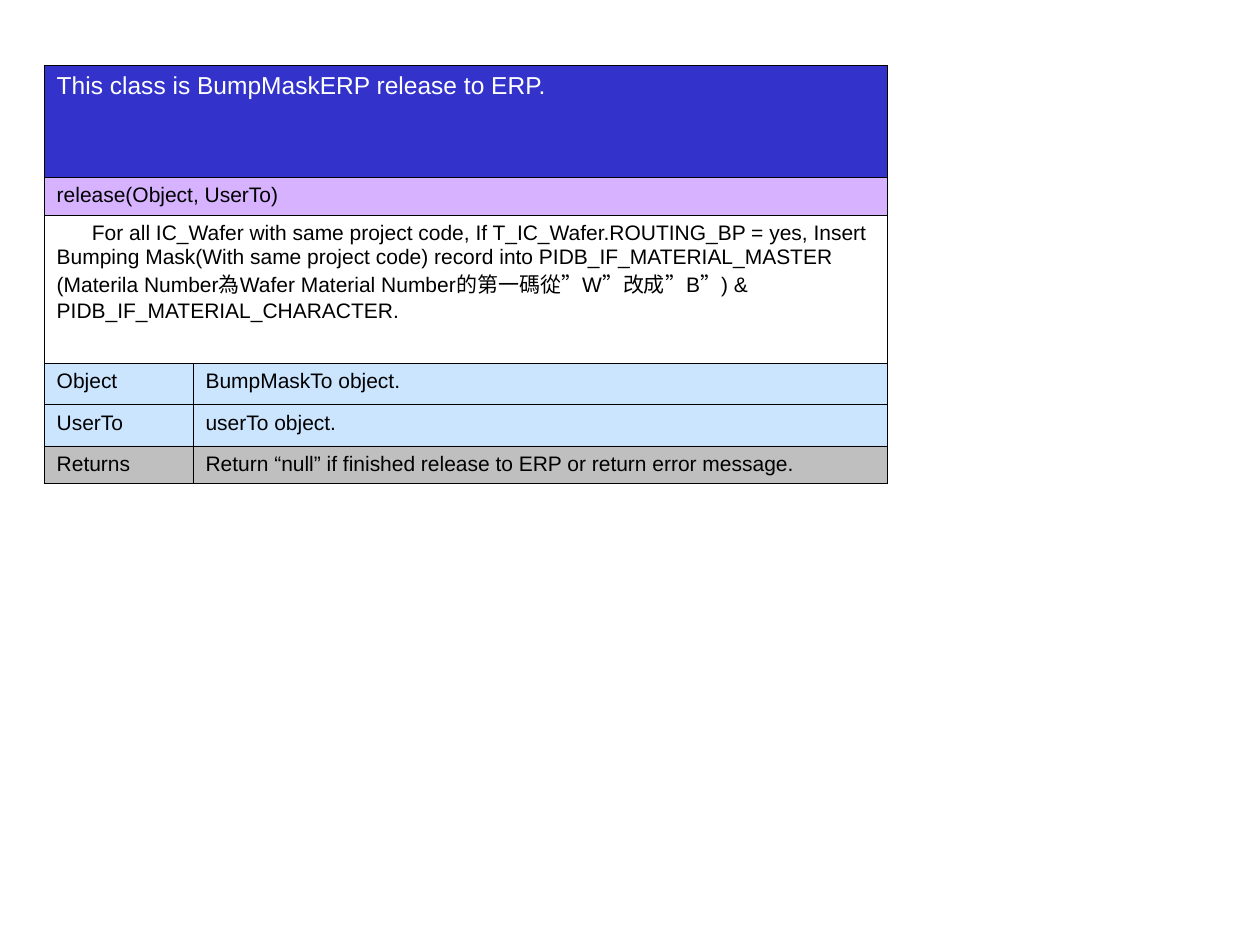
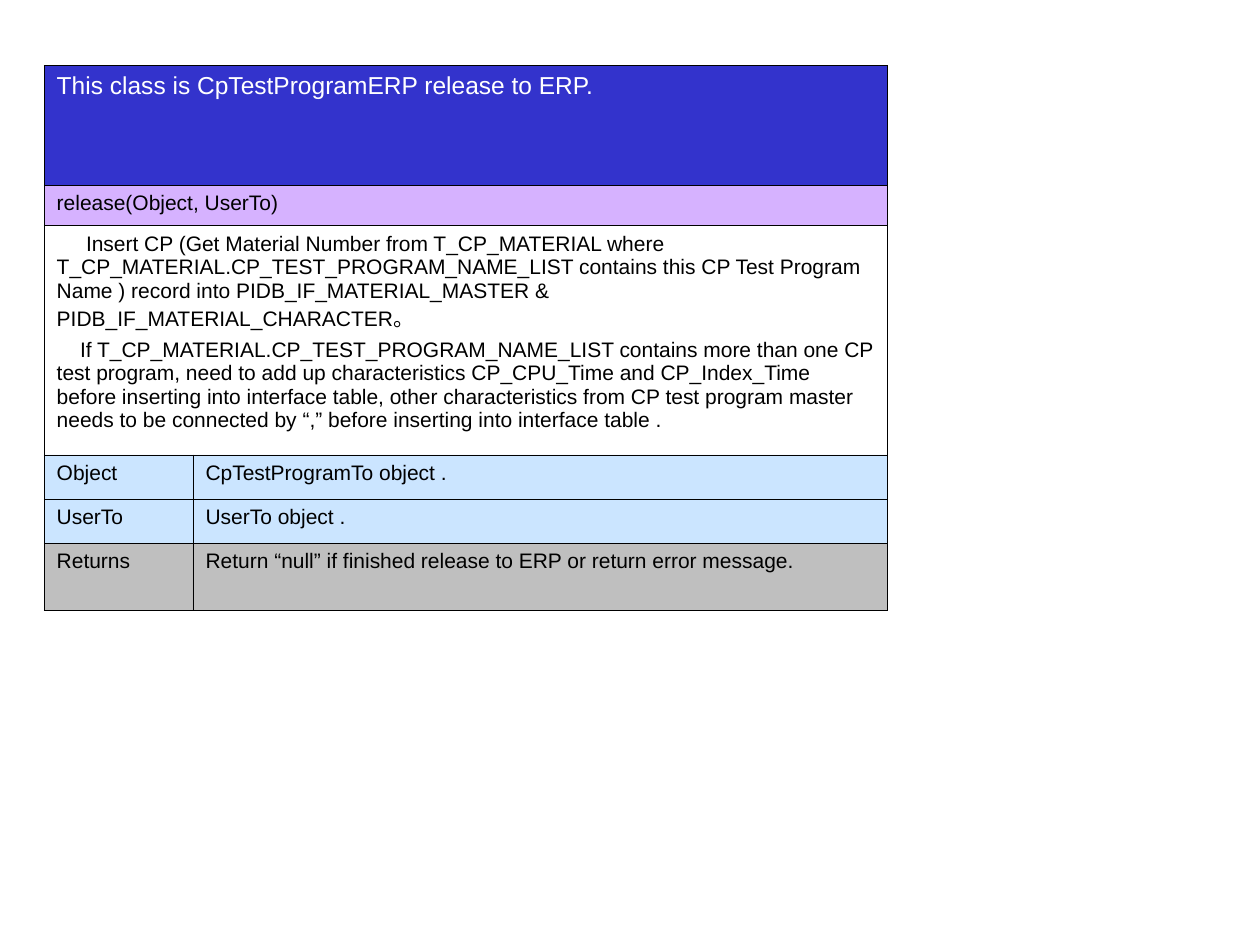
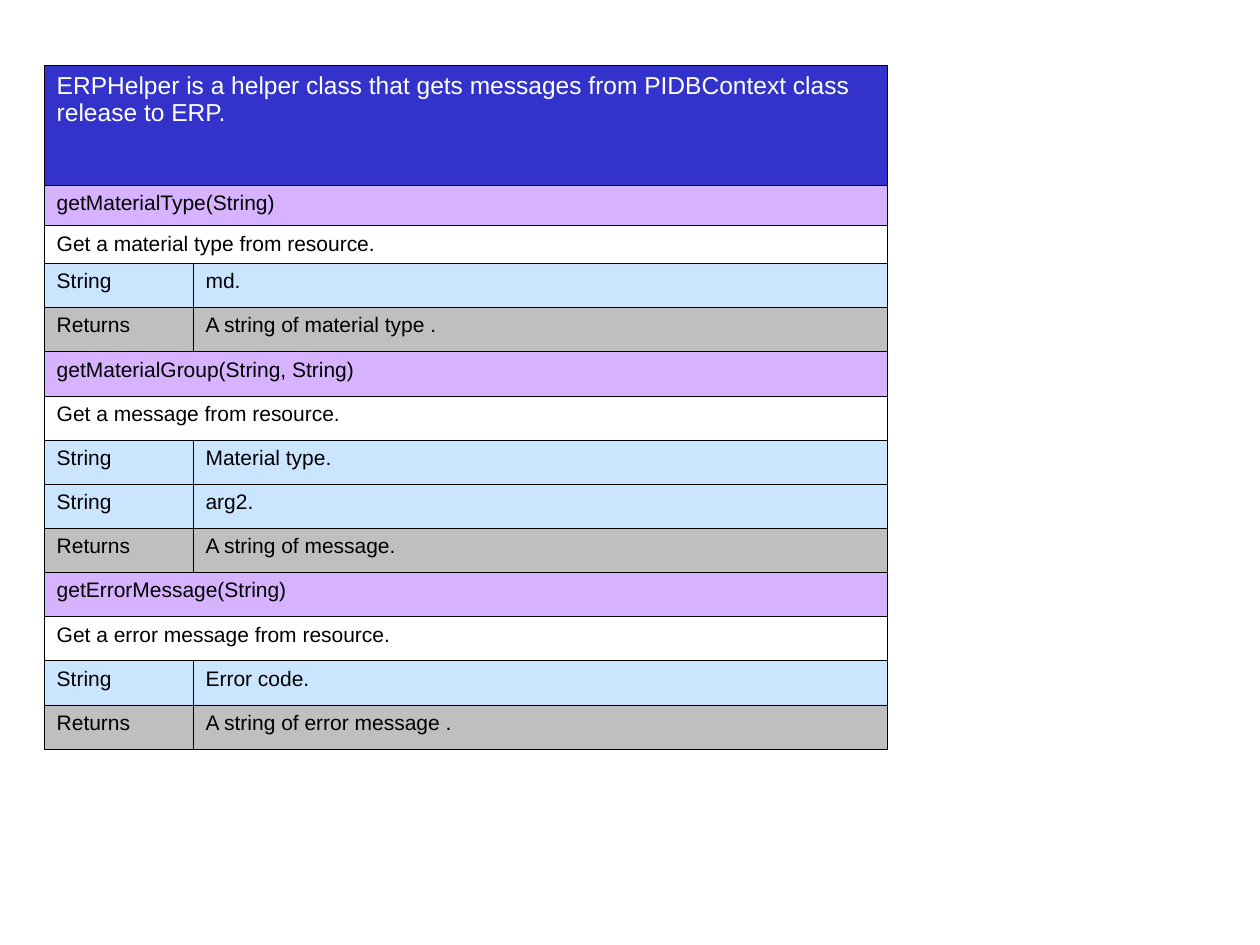
from dataclasses import dataclass

from lxml import etree
from pptx import Presentation
from pptx.dml.color import RGBColor
from pptx.oxml.ns import qn
from pptx.slide import Slide
from pptx.table import Table, _Cell
from pptx.util import Cm, Pt

COLORS = {
    "class": "3333CC",
    "method": "AF67FF",
    "parameter": "99CCFF",
    "returns": "808080",
    "border": "000000",
    "text": "000000",
    "class_text": "FFFFFF",
}
FONT = "Arial"
BLANK_LAYOUT = 6
HALF_OPAQUE = "50000"
BORDER_WIDTH = Pt(0.45)
BORDER_SIDES = ("a:lnL", "a:lnR", "a:lnT", "a:lnB")
TABLE_LEFT, TABLE_TOP = Cm(0.89), Cm(1.32)
COLUMN_WIDTHS = (Cm(3), Cm(14))
ROW_HEIGHT = 0.89


@dataclass(frozen=True)
class Line:
    text: str
    indent: float = 0


@dataclass(frozen=True)
class Row:
    kind: str
    cells: tuple[tuple[Line, ...], ...]
    height: float


def class_row(text: str, height: float = 2.42) -> Row:
    return Row("class", ((Line(text),),), height)


def method_row(text: str, height: float = ROW_HEIGHT) -> Row:
    return Row("method", ((Line(text),),), height)


def description_row(*lines: Line, height: float = ROW_HEIGHT) -> Row:
    return Row("description", (lines,), height)


def parameter_row(name: str, meaning: str, height: float = ROW_HEIGHT) -> Row:
    return Row("parameter", ((Line(name),), (Line(meaning),)), height)


def returns_row(meaning: str, height: float = ROW_HEIGHT) -> Row:
    return Row("returns", ((Line("Returns"),), (Line(meaning),)), height)


RELEASE = "release(Object, UserTo)"
RELEASE_RESULT = "Return “null” if finished release to ERP or return error message."

CLASS_TABLES = (
    (
        class_row("This class is BumpMaskERP release to ERP.", 2.26),
        method_row(RELEASE, 0.76),
        description_row(
            Line(
                "For all IC_Wafer with same project code, If T_IC_Wafer.ROUTING_BP = yes, "
                "Insert Bumping Mask(With same project code) record into "
                "PIDB_IF_MATERIAL_MASTER (Materila Number為Wafer Material Number"
                "的第一碼從”W”改成”B”) & PIDB_IF_MATERIAL_CHARACTER.",
                0.71,
            ),
            height=2.99,
        ),
        parameter_row("Object", "BumpMaskTo object.", 0.83),
        parameter_row("UserTo", "userTo object.", 0.83),
        returns_row(RELEASE_RESULT, 0.76),
    ),
    (
        class_row("This class is CpTestProgramERP release to ERP."),
        method_row(RELEASE, 0.81),
        description_row(
            Line(
                "Insert CP (Get Material Number from T_CP_MATERIAL where "
                "T_CP_MATERIAL.CP_TEST_PROGRAM_NAME_LIST contains this CP Test Program "
                "Name ) record into PIDB_IF_MATERIAL_MASTER & PIDB_IF_MATERIAL_CHARACTER。",
                0.59,
            ),
            Line(
                "If T_CP_MATERIAL.CP_TEST_PROGRAM_NAME_LIST contains more than one CP "
                "test program, need to add up characteristics CP_CPU_Time and "
                "CP_Index_Time before inserting into interface table, other "
                "characteristics from CP test program master needs to be connected by "
                "“,” before inserting into interface table .",
                0.47,
            ),
            height=4.62,
        ),
        parameter_row("Object", "CpTestProgramTo object ."),
        parameter_row("UserTo", "UserTo object ."),
        returns_row(RELEASE_RESULT, 1.35),
    ),
    (
        class_row(
            "ERPHelper is a helper class that gets messages from PIDBContext class "
            "release to ERP."
        ),
        method_row("getMaterialType(String)", 0.81),
        description_row(Line("Get a material type from resource."), height=0.76),
        parameter_row("String", "md."),
        returns_row("A string of material type ."),
        method_row("getMaterialGroup(String, String)"),
        description_row(Line("Get a message from resource.")),
        parameter_row("String", "Material type."),
        parameter_row("String", "arg2."),
        returns_row("A string of message."),
        method_row("getErrorMessage(String)"),
        description_row(Line("Get a error message from resource.")),
        parameter_row("String", "Error code."),
        returns_row("A string of error message ."),
    ),
)


def rgb(name: str) -> RGBColor:
    return RGBColor.from_string(COLORS[name])


def style_cell(cell: _Cell, kind: str) -> None:
    properties = cell._tc.get_or_add_tcPr()
    for side in BORDER_SIDES:
        border = etree.SubElement(properties, qn(side), w=str(BORDER_WIDTH))
        paint = etree.SubElement(border, qn("a:solidFill"))
        etree.SubElement(paint, qn("a:srgbClr"), val=COLORS["border"])
    if kind == "description":
        cell.fill.background()
        return
    cell.fill.solid()
    cell.fill.fore_color.rgb = rgb(kind)
    if kind != "class":
        color = properties.find(qn("a:solidFill"))[0]
        etree.SubElement(color, qn("a:alpha"), val=HALF_OPAQUE)


def write_cell(cell: _Cell, lines: tuple[Line, ...], kind: str) -> None:
    is_class = kind == "class"
    frame = cell.text_frame
    for index, line in enumerate(lines):
        para = frame.add_paragraph() if index else frame.paragraphs[0]
        para.space_before = Pt(3.5 if is_class else 3)
        if line.indent:
            para._p.get_or_add_pPr().set("indent", str(Cm(line.indent)))
        span = para.add_run()
        span.text = line.text
        span.font.name = FONT
        span.font.size = Pt(14 if is_class else 12)
        span.font.bold = False
        span.font.color.rgb = rgb("class_text" if is_class else "text")


def fill_row(table: Table, index: int, row: Row) -> None:
    table.rows[index].height = Cm(row.height)
    for column in range(len(COLUMN_WIDTHS)):
        style_cell(table.cell(index, column), row.kind)
    if len(row.cells) == 1:
        table.cell(index, 0).merge(table.cell(index, len(COLUMN_WIDTHS) - 1))
    for column, lines in enumerate(row.cells):
        write_cell(table.cell(index, column), lines, row.kind)


def add_class_table(page: Slide, rows: tuple[Row, ...]) -> None:
    height = Cm(sum(row.height for row in rows))
    table = page.shapes.add_table(
        len(rows), len(COLUMN_WIDTHS), TABLE_LEFT, TABLE_TOP, sum(COLUMN_WIDTHS), height
    ).table
    table.first_row = False
    table.horz_banding = False
    for column, width in zip(table.columns, COLUMN_WIDTHS):
        column.width = width
    for index, row in enumerate(rows):
        fill_row(table, index, row)


def main() -> None:
    deck = Presentation()
    deck.slide_width, deck.slide_height = Cm(25.4), Cm(19.05)
    for rows in CLASS_TABLES:
        page = deck.slides.add_slide(deck.slide_layouts[BLANK_LAYOUT])
        add_class_table(page, rows)
    deck.save("out.pptx")


if __name__ == "__main__":
    main()
